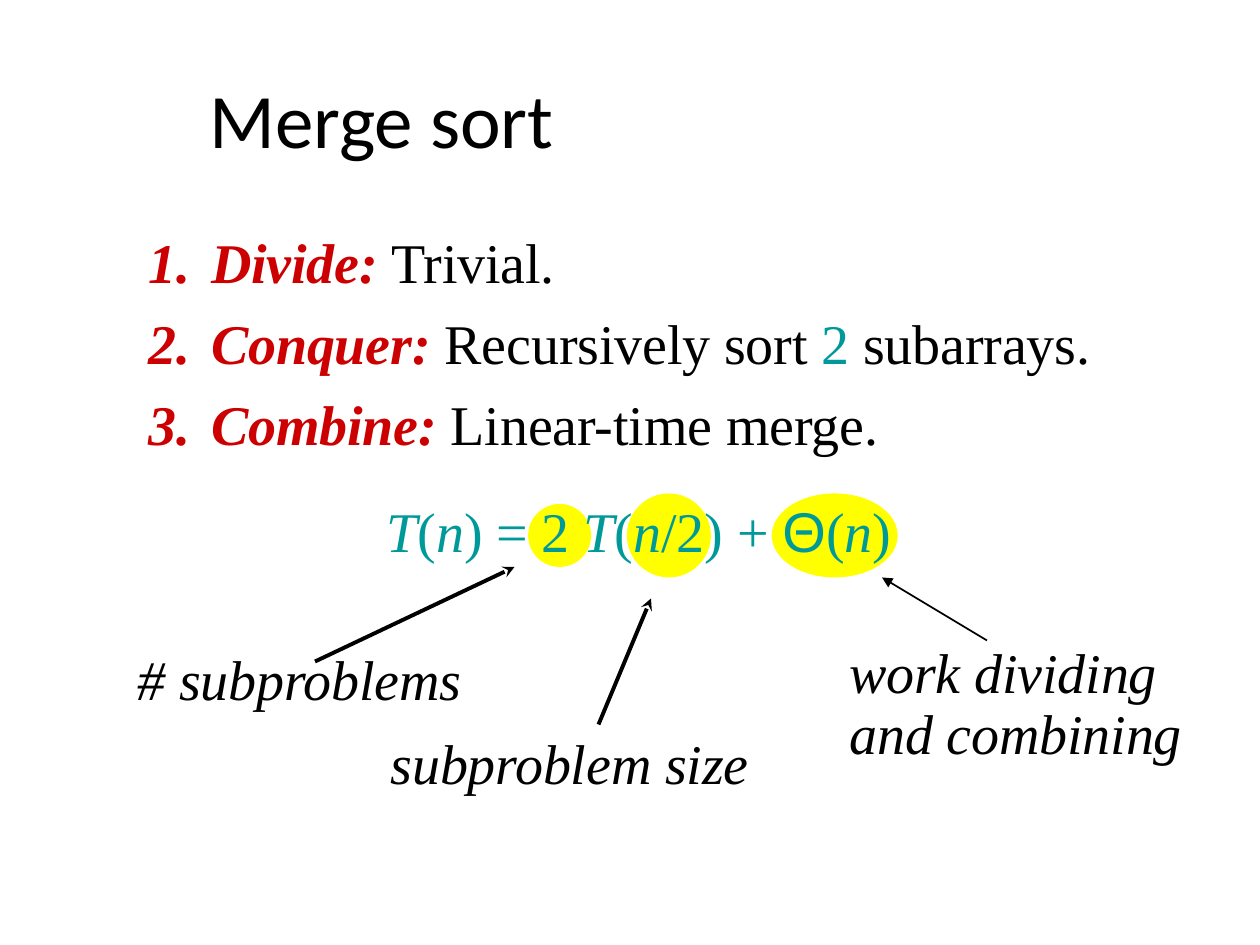
from lxml.etree import SubElement as Sub
from pptx import Presentation
from pptx.dml.color import RGBColor as RGB
from pptx.enum.shapes import MSO_CONNECTOR as LINE, MSO_SHAPE as SHAPE
from pptx.enum.text import MSO_ANCHOR as ANCHOR, PP_ALIGN as ALIGN
from pptx.oxml.ns import qn
from pptx.util import Inches, Pt

BLACK = RGB(0x00, 0x00, 0x00)
RED = RGB(0xCC, 0x00, 0x00)
TEAL = RGB(0x00, 0x99, 0x99)
YELLOW = RGB(0xFF, 0xFF, 0x00)
SERIF = "Times New Roman"

# Grid of 120 columns by 90 rows, square cells
deck = Presentation()
deck.slide_width, deck.slide_height = Inches(10), Inches(7.5)
CELL = deck.slide_width / 120
slide = deck.slides.add_slide(deck.slide_layouts[6])
shapes = slide.shapes


def pane(*cells, inset=0, anchor=ANCHOR.TOP):
    """Add an empty text box placed in grid cells."""
    frame = shapes.add_textbox(*[round(c * CELL) for c in cells]).text_frame
    frame.word_wrap = True
    frame.vertical_anchor = anchor
    frame.margin_left = frame.margin_right = frame.margin_bottom = 0
    frame.margin_top = round(inset * CELL)
    return frame


def write(frame, runs, font=SERIF, size=32, before=0, left=0, hang=0,
          align=ALIGN.LEFT, lead=None, number=False):
    """Add a paragraph of (text, color, style) runs; style holds b, i or a."""
    para = frame.paragraphs[0]
    if para.runs:
        para = frame.add_paragraph()
    para.alignment = align
    para.space_before = Pt(before)
    if lead:
        para.line_spacing = Pt(lead)
    props = para._p.get_or_add_pPr()
    props.set("marL", str(round(left * CELL)))
    props.set("indent", str(round(-hang * CELL)))
    if number:
        Sub(props, qn("a:buAutoNum"), type="arabicPeriod")
    for text, color, style in runs:
        run = para.add_run()
        run.text = text
        run.font.name = "Arial" if "a" in style else font
        run.font.size = Pt(size)
        run.font.bold, run.font.italic = "b" in style, "i" in style
        run.font.color.rgb = color
        run._r.get_or_add_rPr().set("spc", "-10")


# Title
title = pane(20, 6.7, 34.7, 9.1, anchor=ANCHOR.MIDDLE)
write(title, [("Merge sort", BLACK, "")], font="Calibri", size=44, before=0.9)

# Highlights behind the recurrence, centred on one row
MID = 51
for col, wide, high in [(50.3, 6, 6), (59.7, 8, 8), (73.5, 12, 8)]:
    spot = shapes.add_shape(SHAPE.OVAL, *[
        round(c * CELL) for c in (col, MID - high / 2, wide, high)])
    spot.shadow.inherit = False
    spot.fill.solid()
    spot.fill.fore_color.rgb = YELLOW
    spot.line.fill.background()

# Numbered steps
steps = [
    ("Divide: ", [("Trivial.", BLACK, "")]),
    ("Conquer: ", [("Recursively sort ", BLACK, ""), ("2 ", TEAL, ""),
                   ("subarrays.", BLACK, "")]),
    ("Combine: ", [("Linear-time merge.", BLACK, "")]),
]
body = pane(14, 20.3, 90.6, 33.6, inset=1.4)
for rank, (name, rest) in enumerate(steps):
    write(body, [(name, RED, "bi")] + rest, before=7.7 if rank else 8.7,
          left=6.1, hang=6, number=True)

# Recurrence
terms = [("T", "i"), ("(", ""), ("n", "i"), (") = 2 ", ""), ("T", "i"),
         ("(", ""), ("n", "i"), ("/2) + ", ""), ("Θ", "a"), ("(", ""),
         ("n", "i"), (")", "")]
write(body, [(text, TEAL, style) for text, style in terms],
      before=22.8, left=3.1, align=ALIGN.CENTER)

# Labels
parts = pane(13.1, 59.6, 58.7, 16.3, inset=1.8)
write(parts, [("# subproblems", BLACK, "i")], before=10.6)
write(parts, [("subproblem size", BLACK, "i")], before=9.6, left=24.1)
work = pane(80.9, 60.6, 32.2, 12.5, inset=0.8)
write(work, [("work dividing and combining", BLACK, "i")], before=5.3,
      lead=34.6)

# Arrows from labels to terms
arrows = [
    ((30, 63, 49, 54), 2.25, "stealth"),
    ((57, 69, 62, 57), 2.25, "stealth"),
    ((94, 61, 84, 55), 1, "triangle"),
]
for ends, weight, head in arrows:
    arrow = shapes.add_connector(LINE.STRAIGHT,
                                 *[round(c * CELL) for c in ends])
    arrow.line.color.rgb = BLACK
    arrow.line.width = Pt(weight)
    Sub(arrow.line._get_or_add_ln(), qn("a:tailEnd"), type=head)
    Sub(arrow._element.spPr, qn("a:effectLst"))

deck.save("out.pptx")
